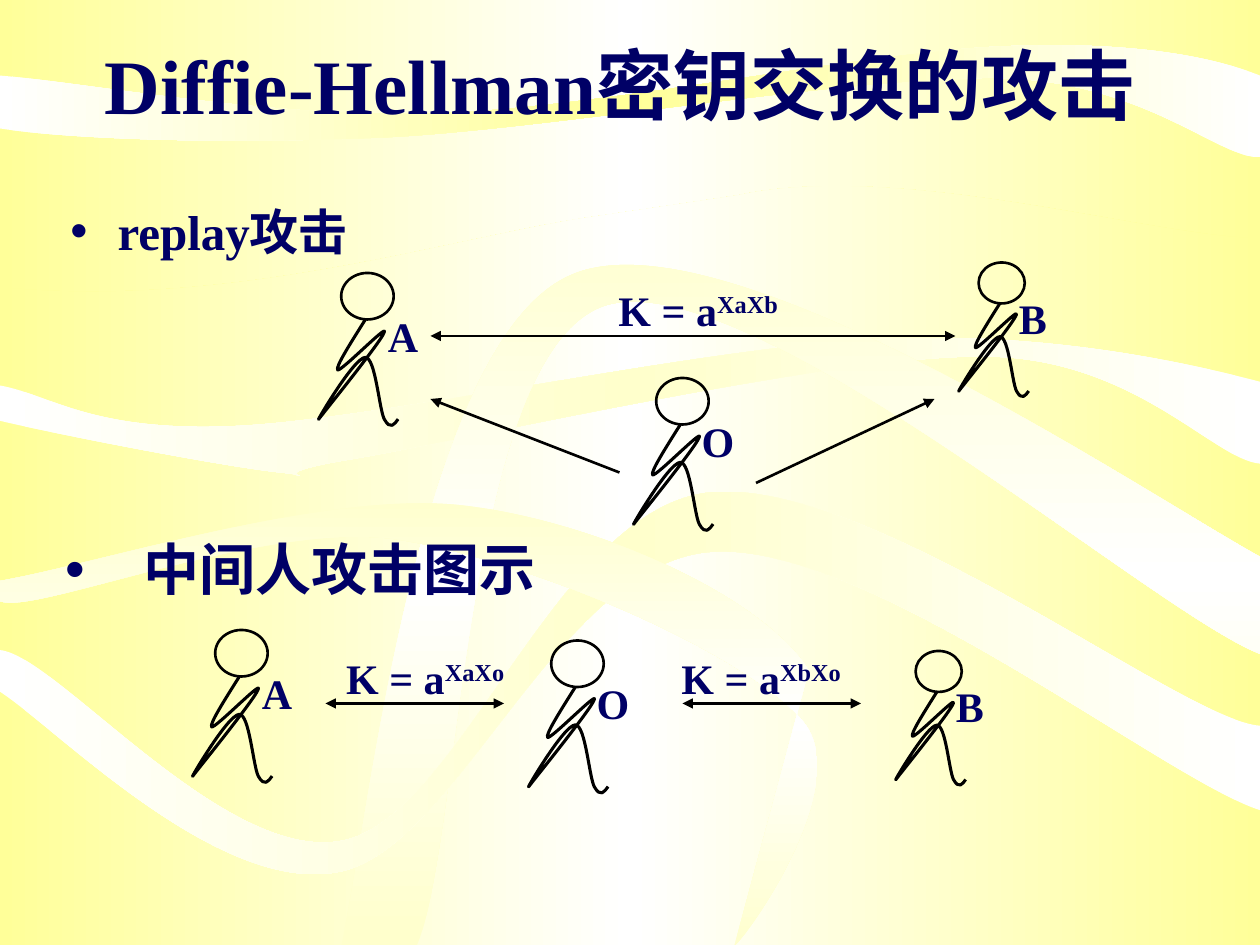
from copy import deepcopy
from lxml.etree import SubElement
from pptx import Presentation
from pptx.dml.color import RGBColor as RGB
from pptx.enum.shapes import MSO_CONNECTOR as CONN, MSO_SHAPE as SHAPE
from pptx.enum.text import MSO_ANCHOR as ANCHOR, MSO_AUTO_SIZE as AUTO, PP_ALIGN as ALIGN
from pptx.oxml.ns import qn
from pptx.util import Pt

COLORS = {"ink": "000066", "line": "000000", "yellow": "FFFF99", "cream": "FFFFCC", "white": "FFFFFF"}
SERIF = "Times New Roman"
INCH = 72


def trace(shapes, start, segments, left=0, top=0, scale=1, close=False):
    points = [start] + [seg[i:i + 2] for seg in segments for i in range(0, len(seg), 2)]
    points = [(Pt(left + scale * x), Pt(top + scale * y)) for x, y in points]
    builder = shapes.build_freeform(*points[0])
    builder.add_line_segments(points[1:], close=close)
    sp = builder.convert_to_shape()
    sp.shadow.inherit = False
    steps = iter(sp.element.xpath(".//a:lnTo"))
    for seg in segments:
        step = next(steps)
        if len(seg) == 6:
            curve = step.makeelement(qn("a:cubicBezTo"))
            step.addprevious(curve)
            for part in (step, next(steps), next(steps)):
                curve.append(part[0])
                part.getparent().remove(part)
    return sp


def add_run(p, text, size, font=SERIF):
    r = p.add_run()
    r.text = text
    r.font.size = Pt(size)
    r.font.name = font
    r.font.bold = True
    r.font.color.rgb = RGB.from_string(COLORS["ink"])
    return r


prs = Presentation()
prs.slide_width, prs.slide_height = Pt(720), Pt(540)
master = prs.slide_master
slide = prs.slides.add_slide(prs.slide_layouts[3])

ribbons = [
    ("yellow", "white", 0, (0, 2.28), [
        (1.78, 2.45, 3.4, 1.94, 4.58, 1.74), (4.58, 1.74, 5.67, 1.58, 5.86, 1.55),
        (7.15, 1.27, 9.17, 1.89, 10, 1.89), (10, 7.5), (0, 7.5)]),
    ("white", "yellow", 0, (0, 0.6), [
        (0, 1.02), (0.51, 1.1, 1.76, 1.15, 3.08, 1.09), (4.4, 1.02, 6.79, 0.6, 7.94, 0.62),
        (9.09, 0.65, 9.66, 1.25, 10, 1.25), (10, 0.6), (9.65, 0.46, 9.01, 0.32, 7.92, 0.37),
        (6.82, 0.42, 4.77, 0.86, 3.45, 0.9), (2.13, 0.94, 0.72, 0.66, 0, 0.6)]),
    ("white", "cream", 0, (0, 3.06), [
        (0, 3.34), (0.37, 3.43, 1.75, 3.7, 2.22, 3.75), (2.69, 3.8, 1.9, 3.79, 2.82, 3.64),
        (3.75, 3.48, 6.6, 2.82, 7.8, 2.83), (9, 2.83, 9.63, 3.65, 10, 3.68), (10, 3.03),
        (9.5, 2.9, 8.36, 2.63, 7.01, 2.69), (5.66, 2.74, 3.07, 3.32, 1.9, 3.38),
        (0.73, 3.44, 0.4, 3.13, 0, 3.06)]),
    ("cream", "white", 90, (2.71, 7.5), [
        (2.91, 6.61, 3.32, 2.69, 4.54, 2.18), (5.75, 1.66, 9.09, 3.92, 10, 4.42), (10, 5.19),
        (9.13, 4.85, 5.91, 2.05, 4.79, 2.43), (3.68, 2.82, 3.66, 6.66, 3.31, 7.5)]),
    ("white", "cream", 0, (0, 5.16), [
        (0, 5.49), (0.45, 5.78, 1.74, 7.11, 2.69, 6.92), (3.63, 6.74, 4.43, 4.46, 5.65, 4.38),
        (6.87, 4.29, 9.27, 6.2, 10, 6.43), (10, 5.76), (9.38, 5.72, 6.91, 3.77, 5.62, 3.91),
        (4.41, 4.06, 3.67, 6.46, 2.73, 6.67), (1.79, 6.87, 0.45, 5.2, 0, 5.16)]),
    ("cream", "white", 90, (0, 4.61), [
        (0, 4.77), (0.26, 4.89, 2.08, 4.13, 3.14, 4.28), (4.2, 4.44, 5.92, 5.18, 6.37, 5.72),
        (6.82, 6.25, 5.82, 7.57, 5.83, 7.5), (6.42, 5.32), (6.06, 4.74, 4.73, 4.13, 3.66, 4.01),
        (2.59, 3.89, 0.76, 4.48, 0, 4.61)]),
]
layers = [(master.background.fill, master.element.cSld, "yellow", "white", 0)]
for n, (edge, mid, angle, start, segments) in enumerate(ribbons):
    sp = trace(slide.shapes, start, segments, scale=INCH, close=True)
    sp.line.fill.background()
    sp.element.nvSpPr.cNvPr.id = 101 + n
    master.shapes.element.append(sp.element)
    layers.append((sp.fill, sp.element, edge, mid, angle))

for fill, element, edge, mid, angle in layers:
    fill.gradient()
    fill.gradient_angle = angle
    first, second = fill.gradient_stops
    first.color.rgb = RGB.from_string(COLORS[edge])
    second.color.rgb = RGB.from_string(COLORS[mid])
    first.position, second.position = 0, 0.5
    stops = element.xpath(".//a:gsLst")[0]
    last = deepcopy(stops[0])
    last.set("pos", "100000")
    stops.append(last)

title, replay, middle = slide.placeholders
headings = [
    (title, 30, 18, 60, "Diffie-Hellman密钥交换的攻击", 44, SERIF, 0, 0, 1),
    (replay, 33, 111.6, 41, "replay攻击", 28, SERIF, 27, 7, 1),
    (middle, 30, 306, 42, "中间人攻击图示", 32, "Arial", 45, 12, 0.9),
]
for sp, left, top, height, text, size, font, indent, before, spacing in headings:
    sp.left, sp.top, sp.width, sp.height = Pt(left), Pt(top), Pt(649), Pt(height)
    tf = sp.text_frame
    tf.auto_size = AUTO.NONE
    tf.vertical_anchor = ANCHOR.TOP
    p = tf.paragraphs[0]
    p.alignment = ALIGN.LEFT if indent else ALIGN.CENTER
    p.space_before = Pt(before)
    p.line_spacing = spacing
    add_run(p, text, size, font)
    if indent:
        pPr = p._p.get_or_add_pPr()
        pPr.set("marL", str(Pt(indent)))
        pPr.set("indent", str(-Pt(indent)))
        SubElement(SubElement(pPr, qn("a:buClr")), qn("a:srgbClr")).set("val", COLORS["ink"])
        SubElement(pPr, qn("a:buChar")).set("char", "•")

body_start = (28.8, 26.6)
body = [
    (20.2, 40.3, 11.5, 54, 13, 55.4), (15.1, 56.2, 41.8, 28.8, 39.6, 33.8),
    (38.2, 38.9, 3.6, 81.4, 2.2, 83.5), (0, 86.4, 22.3, 48.2, 28.8, 48.2),
    (34.6, 48.2, 36.7, 77.8, 39.6, 83.5), (43.2, 90, 45.4, 86.4, 47.5, 83.5),
]
scenes = [
    {"people": [("A", 180, 156, 1), ("B", 546, 150, 0.88)],
     "arrows": [(246, 192, 546, 192, True)],
     "keys": [("XaXb", 342, 150)]},
    {"people": [("O", 360, 216, 1)],
     "arrows": [(432, 276, 534, 228, False), (354, 270, 246, 228, False)],
     "keys": []},
    {"people": [("A", 108, 360, 1), ("B", 510, 372, 0.88), ("O", 300, 366, 1)],
     "arrows": [(186, 402, 288, 402, True), (390, 402, 492, 402, True)],
     "keys": [("XaXo", 186, 360), ("XbXo", 378, 360)]},
]
for scene in scenes:
    shapes = slide.shapes.add_group_shape().shapes
    labels = [(key, left, top, 114, 54, 7.2) for key, left, top in scene["keys"]]

    for name, left, top, scale in scene["people"]:
        head = shapes.add_shape(SHAPE.OVAL, Pt(left + 15 * scale), Pt(top), Pt(30 * scale), Pt(26.6 * scale))
        head.shadow.inherit = False
        figure = trace(shapes, body_start, body, left, top, scale)
        for sp, width in ((head, 1.5), (figure, 1.75)):
            sp.fill.background()
            sp.line.color.rgb = RGB.from_string(COLORS["line"])
            sp.line.width = Pt(width)
        labels.append((name, left + 40.3 * scale, top + 22.3 * scale, 20 * scale, 26.6 * scale, 0))

    for x1, y1, x2, y2, both in scene["arrows"]:
        arrow = shapes.add_connector(CONN.STRAIGHT, Pt(x1), Pt(y1), Pt(x2), Pt(y2))
        arrow.line.color.rgb = RGB.from_string(COLORS["line"])
        arrow.line.width = Pt(1.5)
        spPr = arrow.element.spPr
        for end in ("a:headEnd", "a:tailEnd") if both else ("a:tailEnd",):
            SubElement(spPr.find(qn("a:ln")), qn(end)).set("type", "triangle")
        SubElement(spPr, qn("a:effectLst"))

    for text, left, top, width, height, margin in labels:
        tf = shapes.add_textbox(Pt(left), Pt(top), Pt(width), Pt(height)).text_frame
        tf.word_wrap = False
        tf.vertical_anchor = ANCHOR.MIDDLE
        tf.margin_left = tf.margin_right = Pt(margin)
        p = tf.paragraphs[0]
        p.alignment = ALIGN.CENTER
        if margin:
            add_run(p, "K = a", 24)
        r = add_run(p, text, 24)
        if margin:
            r.font._element.set("baseline", "30000")

prs.save("out.pptx")
